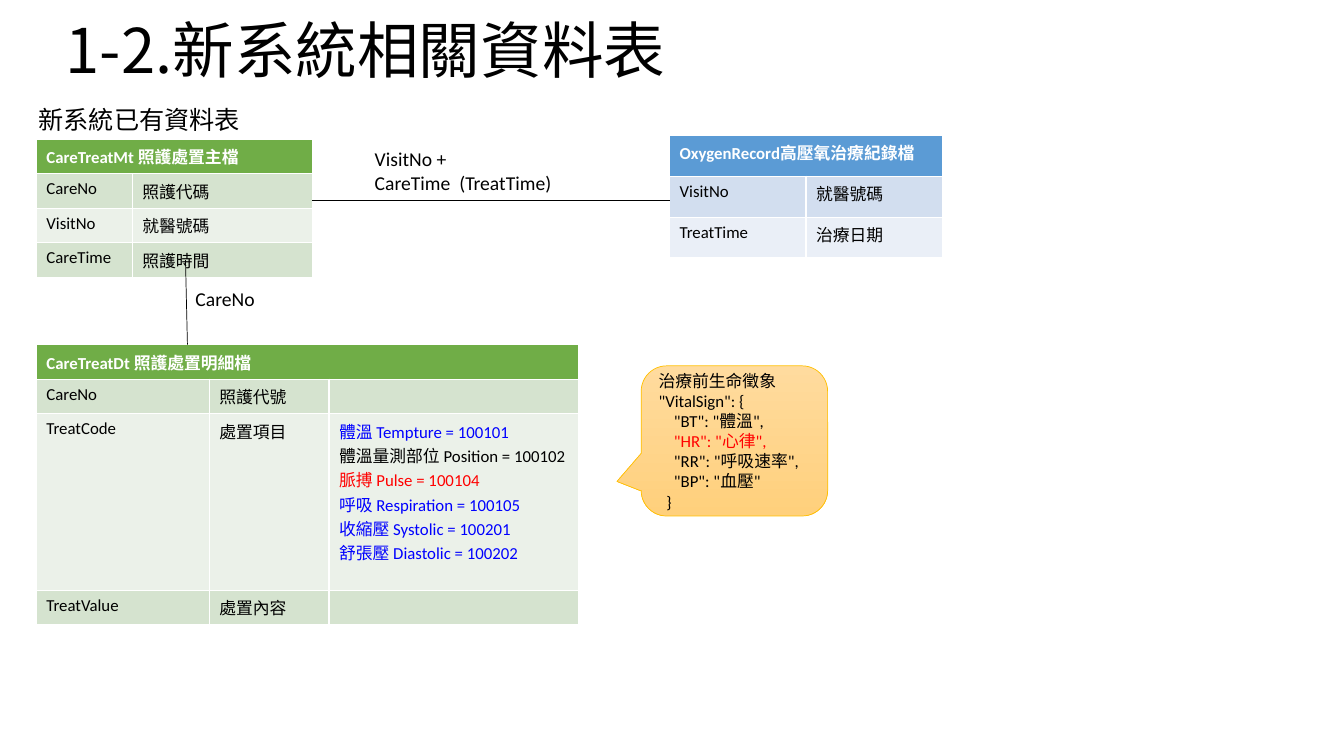
from pptx import Presentation
from pptx.dml.color import RGBColor
from pptx.enum.shapes import MSO_CONNECTOR as CONN, MSO_SHAPE as SHAPE
from pptx.enum.text import MSO_ANCHOR as ANCHOR, PP_ALIGN as ALIGN
from pptx.oxml.ns import qn
from pptx.util import Pt
from lxml import etree

BLACK, WHITE, RED, BLUE = "000000", "FFFFFF", "FF0000", "0000FF"
GREEN = ("70AD47", "D5E3CF", "EBF1E9")
SKY = ("5B9BD5", "D2DEEF", "EAEFF7")


def rgb(value):
    return RGBColor.from_string(value)


class Slide:
    """Draws styled elements, measured in points, on one slide."""

    font = "Calibri"
    small = 12
    rule = 0.5

    def __init__(self, prs):
        self.s = prs.slides.add_slide(prs.slide_layouts[5])

    def runs(self, p, parts, **fmt):
        p.alignment = ALIGN.LEFT
        fmt = {"name": self.font, "size": self.small, "bold": False, **fmt}
        fmt["size"] = Pt(fmt["size"])
        for text, color in parts:
            for i, line in enumerate(text.split("\n")):
                if i:
                    p.add_line_break()
                if line:
                    r = p.add_run()
                    r.text = line
                    r.font.color.rgb = rgb(color)
                    for name, value in fmt.items():
                        setattr(r.font, name, value)

    def title(self, text, *box):
        sp = self.s.shapes.title
        for name, value in zip(("left", "top", "width", "height"), box):
            setattr(sp, name, Pt(value))
        tf = sp.text_frame
        tf.vertical_anchor = ANCHOR.MIDDLE
        tf.paragraphs[0].line_spacing = 0.9
        self.runs(tf.paragraphs[0], [(text, BLACK)], size=44, name="Noto Sans CJK SC")

    def text(self, text, *box, size=14):
        tf = self.s.shapes.add_textbox(*map(Pt, box)).text_frame
        tf.word_wrap = True
        self.runs(tf.paragraphs[0], [(text, BLACK)], size=size)

    def line(self, *ends):
        sp = self.s.shapes.add_connector(CONN.STRAIGHT, *map(Pt, ends))
        sp.line.color.rgb = rgb(BLACK)
        sp.line.width = Pt(self.rule)
        etree.SubElement(sp._element.spPr, qn("a:effectLst"))

    def table(self, header, rows, colors, left, top, widths, row_height):
        count = len(rows) + 1
        table = self.s.shapes.add_table(
            count, len(widths), Pt(left), Pt(top),
            Pt(sum(widths)), Pt(row_height * count)).table
        for col, width in zip(table.columns, widths):
            col.width = Pt(width)
        for i, row in enumerate([[header], *rows]):
            table.rows[i].height = Pt(row_height)
            fill = colors[0] if i == 0 else colors[2 - i % 2]
            for j in range(len(widths)):
                cell = table.cell(i, j)
                cell.fill.solid()
                cell.fill.fore_color.rgb = rgb(fill)
                p = cell.text_frame.paragraphs[0]
                if j < len(row):
                    value = row[j]
                    if isinstance(value, str):
                        value = [(value, BLACK if i else WHITE)]
                    self.runs(p, value, bold=i == 0)
                else:
                    p._p.get_or_add_endParaRPr().set("sz", str(self.small * 100))
        table.cell(0, 0).merge(table.cell(0, len(widths) - 1))

    def callout(self, lines, *box, tail, colors, outline):
        sp = self.s.shapes.add_shape(SHAPE.ROUNDED_RECTANGULAR_CALLOUT, *map(Pt, box))
        sp.shadow.inherit = False
        for i, value in enumerate(tail):
            sp.adjustments[i] = value
        sp.fill.gradient()
        sp.fill.gradient_angle = 270
        for stop, color in zip(sp.fill.gradient_stops, colors):
            stop.color.rgb = rgb(color)
        sp.line.color.rgb = rgb(outline)
        sp.line.width = Pt(self.rule)
        tf = sp.text_frame
        tf.word_wrap = True
        tf.vertical_anchor = ANCHOR.MIDDLE
        for i, (text, indent, color) in enumerate(lines):
            p = tf.add_paragraph() if i else tf.paragraphs[0]
            p._p.get_or_add_pPr().set("marL", str(Pt(indent)))
            self.runs(p, [(text, color)])


def main():
    prs = Presentation()
    prs.slide_width, prs.slide_height = Pt(960), Pt(540)
    s = Slide(prs)
    s.title("1-2.新系統相關資料表", 39.6, 10, 876, 56)
    s.table("CareTreatMt 照護處置主檔",
            [("CareNo", "照護代碼"), ("VisitNo", "就醫號碼"), ("CareTime", "照護時間")],
            GREEN, 26, 99.5, (68.5, 128.8), 20)
    signs = [("體溫 Tempture = 100101\n", BLUE),
             ("體溫量測部位 Position = 100102\n", BLACK),
             ("脈搏 Pulse = 100104\n", RED),
             ("呼吸 Respiration = 100105\n收縮壓 Systolic = 100201\n"
              "舒張壓 Diastolic = 100202", BLUE)]
    s.table("CareTreatDt 照護處置明細檔",
            [("CareNo", "照護代號"), ("TreatCode", "處置項目", signs),
             ("TreatValue", "處置內容")],
            GREEN, 26, 246.2, (123.5, 85.5, 178.5), 20)
    s.callout([("治療前生命徵象", 0, BLACK), ('"VitalSign": {', 0, BLACK),
               ('"BT": "體溫",', 11, BLACK), ('"HR": "心律",', 11, RED),
               ('"RR": "呼吸速率",', 11, BLACK), ('"BP": "血壓"', 11, BLACK),
               ("}", 5.5, BLACK)],
              458, 261.3, 133.2, 107.3, tail=(-0.63, 0.27, 0.17),
              colors=("FFDB9E", "FFD07C"), outline="FFC000")
    s.line(132.5, 185.8, 133.9, 246.2)
    s.table("OxygenRecord高壓氧治療紀錄檔",
            [("VisitNo", "就醫號碼"), ("TreatTime", "治療日期")],
            SKY, 478.3, 96.7, (97.4, 97.4), 29.2)
    s.line(223.2, 142.8, 478.3, 142.8)
    s.text("CareNo", 132.5, 201.6, 85.7, 24.2)
    s.text("VisitNo +\nCareTime  (TreatTime)", 260.6, 101.5, 165.6, 41.2)
    s.text("新系統已有資料表", 20.5, 70.6, 199.4, 29, size=18)
    prs.save("out.pptx")


if __name__ == "__main__":
    main()
